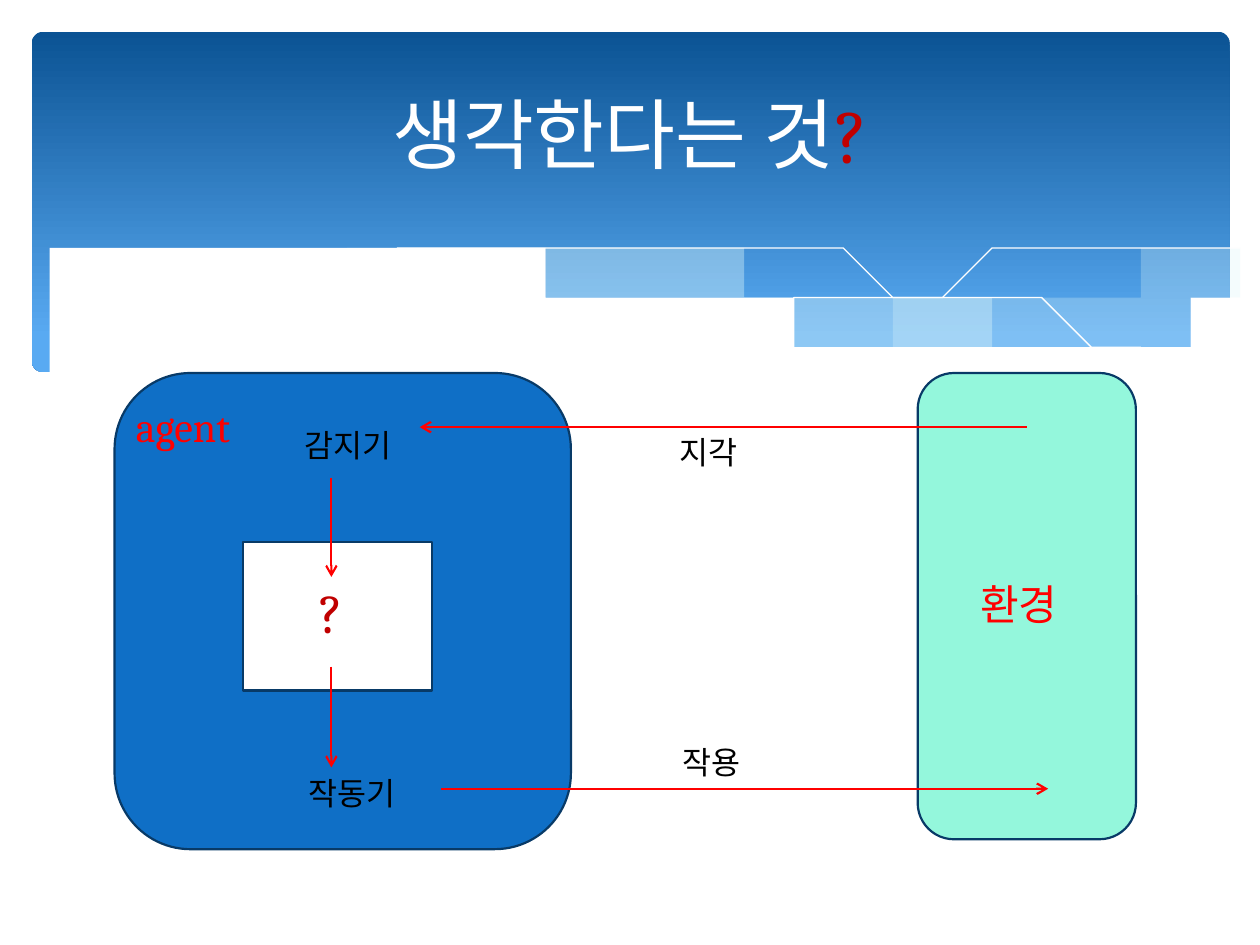
from pptx import Presentation
from pptx.dml.color import RGBColor as Rgb
from pptx.enum.shapes import MSO_CONNECTOR as Link, MSO_SHAPE as Kind
from pptx.enum.text import MSO_ANCHOR as Anchor, PP_ALIGN as Align
from pptx.oxml.ns import qn
from pptx.util import Cm, Pt
from lxml.etree import SubElement as Sub


def tint(code):
    return Rgb.from_string(code)


def curve(knots, steps=8):
    ends = [knots[0], *knots, knots[-1]]
    dots = [knots[0]]
    for a, b, c, d in zip(ends, ends[1:], ends[2:], ends[3:]):
        for i in range(1, steps + 1):
            t = i / steps
            dots.append(tuple(
                q + t * (r - p) / 2
                + t * t * (2 * p - 5 * q + 4 * r - s) / 2
                + t ** 3 * (3 * q - p - 3 * r + s) / 2
                for p, q, r, s in zip(a, b, c, d)))
    return dots


class Deck:
    font = "Cambria"
    red, dark, white, black = "FF0000", "C00000", "FFFFFF", "000000"
    edge, width = "083A67", Pt(1.25)

    def __init__(self, wide, high):
        self.file = Presentation()
        self.file.slide_width, self.file.slide_height = Cm(wide), Cm(high)
        self.slide = self.file.slides.add_slide(self.file.slide_layouts[6])
        self.items = self.slide.shapes

    def box(self, kind, x, y, w, h, fill=None):
        item = self.items.add_shape(kind, Cm(x), Cm(y), Cm(w), Cm(h))
        item.shadow.inherit = False
        if fill:
            item.fill.solid()
            item.fill.fore_color.rgb = tint(fill)
            item.line.color.rgb = tint(self.edge)
            item.line.width = self.width
        return item

    def band(self, x, y, w, h, stops):
        item = self.box(Kind.ROUNDED_RECTANGLE, x, y, w, h)
        item.adjustments[0] = 0.034
        item.line.fill.background()
        item.fill.gradient()
        item.fill.gradient_angle = 270
        for stop, (place, color) in zip(item.fill.gradient_stops, stops):
            stop.position = place
            stop.color.rgb = tint(color)

    def wave(self, dots, fill=None, alpha=100):
        pen = self.items.build_freeform(*dots[0], scale=Cm(1))
        pen.add_line_segments(dots[1:], close=bool(fill))
        item = pen.convert_to_shape()
        item.shadow.inherit = False
        if fill:
            item.line.fill.background()
            item.fill.solid()
            item.fill.fore_color.rgb = tint(fill)
            if alpha < 100:
                color = item.fill._xPr.find(".//" + qn("a:srgbClr"))
                Sub(color, qn("a:alpha")).set("val", str(alpha * 1000))
        else:
            item.fill.background()
            item.line.color.rgb = tint(self.white)
            item.line.width = Pt(0)

    def text(self, x, y, w, h, size, *runs, align=Align.LEFT,
             anchor=Anchor.TOP):
        frame = self.items.add_textbox(Cm(x), Cm(y), Cm(w), Cm(h)).text_frame
        frame.word_wrap = True
        frame.vertical_anchor = anchor
        para = frame.paragraphs[0]
        para.alignment = align
        for words, color in runs:
            run = para.add_run()
            run.text = words
            run.font.name = self.font
            run.font.size = Pt(size)
            run.font.color.rgb = tint(color)

    def arrow(self, x1, y1, x2, y2):
        item = self.items.add_connector(
            Link.STRAIGHT, Cm(x1), Cm(y1), Cm(x2), Cm(y2))
        item.line.color.rgb = tint(self.red)
        item.line.width = self.width
        Sub(item.line._get_or_add_ln(), qn("a:tailEnd")).set("type", "arrow")
        Sub(item._element.spPr, qn("a:effectLst"))

    def save(self):
        self.file.save("out.pptx")


deck = Deck(25.4, 19.05)

deck.band(0.64, 0.64, 24.15, 6.86, [(0, "0B5394"), (0.9, "59AAF2")])
right = [(24.79, 5.08), (23.39, 5.33), (21.87, 5.66), (19.13, 6.27),
         (16.79, 6.73)]
under = [(16.79, 6.73), (18.6, 6.97), (20.68, 7.06), (22.38, 6.93),
         (23.75, 6.65), (24.79, 6.27)]
deck.wave(curve(right) + curve(under), "DBF5F9", 29)
crest = [(7.26, 4.85), (9.65, 4.7), (11.81, 4.85), (14.1, 5.21),
         (15.98, 5.64), (18.82, 6.27), (21.26, 6.73), (22.68, 6.93)]
base = [(22.68, 6.93), (21.54, 7.04), (20.22, 7.06), (18.01, 6.91),
        (15.27, 6.48), (11.4, 5.64), (9.19, 5.16), (7.26, 4.85)]
deck.wave(curve(crest) + curve(base), "DBF5F9", 40)
deck.wave(curve([(7.85, 4.95), (8.97, 4.8), (10.57, 4.75), (12.42, 4.83),
                 (14.78, 5.08), (17.65, 5.56), (20.19, 6.12),
                 (23.04, 6.91)]))
deck.wave(curve([(15.57, 6.53), (18.29, 5.82), (21.23, 5.18),
                 (23.11, 4.88), (24.77, 4.7)]))
front = [(24.82, 6.25), (23.11, 6.78), (21.59, 6.99), (20.55, 7.04),
         (18.44, 6.91), (15.9, 6.55), (13.44, 6.07), (11.35, 5.59),
         (9.27, 5.13), (6.88, 4.78), (4.9, 4.67), (3.02, 4.75), (1.7, 5),
         (0.58, 5.41)]
deck.wave(curve(front) + [(0.58, 8.36), (24.82, 8.36)], deck.white)

deck.text(1.27, 0.94, 22.86, 3.48, 44, ("생각한다는 것", deck.white),
          ("?", deck.dark), align=Align.CENTER, anchor=Anchor.MIDDLE)

deck.box(Kind.ROUNDED_RECTANGLE, 2.31, 7.52, 9.2, 9.6, "0F6FC6")
deck.box(Kind.ROUNDED_RECTANGLE, 18.5, 7.52, 4.4, 9.4, "94F7DC")
deck.box(Kind.RECTANGLE, 4.9, 10.92, 3.81, 3, deck.white)

for x, y, w, h, size, words, color in [
        (2.49, 7.95, 3.05, 1.27, 24, "agent", deck.red),
        (5.89, 8.46, 3.4, 1.02, 18, "감지기", deck.black),
        (5.97, 15.47, 2.49, 1.02, 18, "작동기", deck.black),
        (19.51, 11.53, 2.39, 1.27, 24, "환경", deck.red),
        (13.44, 8.61, 3, 1.02, 18, "지각", deck.black),
        (13.51, 14.86, 2.59, 1.02, 18, "작용", deck.black)]:
    deck.text(x, y, w, h, size, (words, color))

for ends in [(20.7, 8.61, 8.46, 8.61), (6.68, 9.63, 6.68, 11.63),
             (6.68, 13.44, 6.68, 15.47), (8.89, 15.9, 21.13, 15.9)]:
    deck.arrow(*ends)

deck.text(6.2, 11.51, 1.19, 1.63, 32, ("?", deck.dark))
deck.save()
